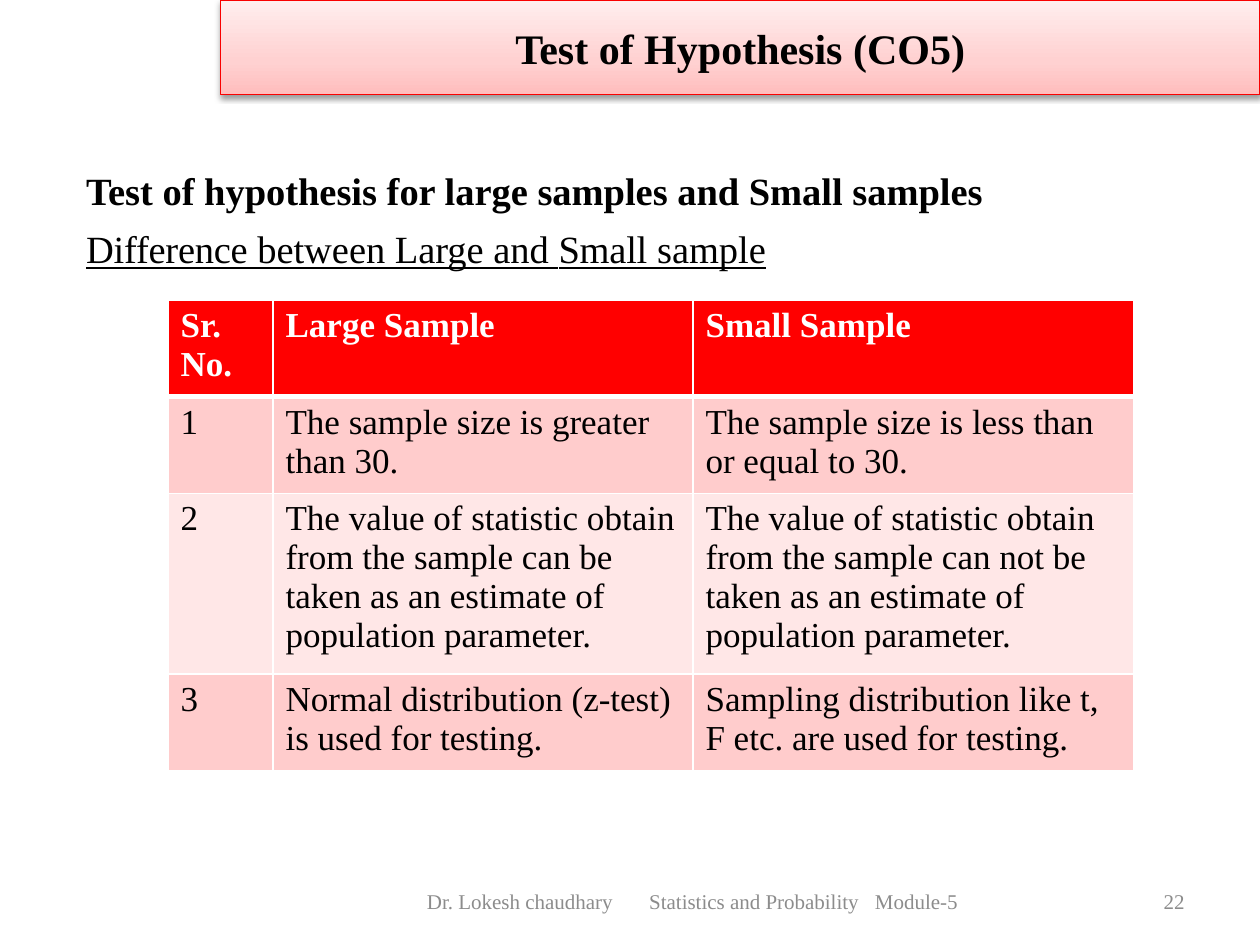
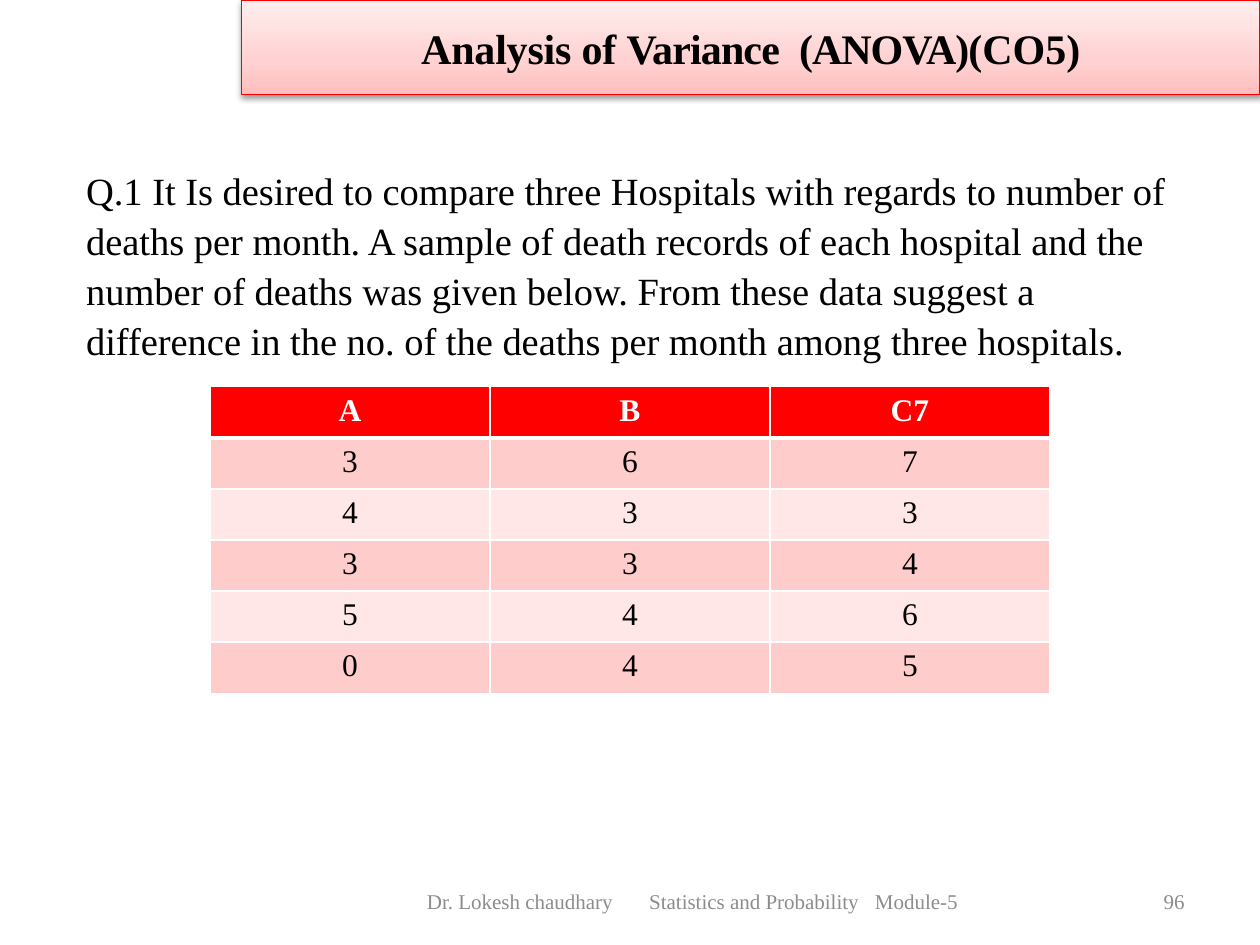
from lxml import etree
from pptx import Presentation
from pptx.dml.color import RGBColor
from pptx.enum.text import MSO_ANCHOR, MSO_AUTO_SIZE, PP_ALIGN
from pptx.oxml import parse_xml
from pptx.oxml.ns import nsdecls, qn
from pptx.util import Pt

LEFT, CENTER, RIGHT = PP_ALIGN.LEFT, PP_ALIGN.CENTER, PP_ALIGN.RIGHT
MIDDLE = MSO_ANCHOR.MIDDLE
NO_FIT = MSO_AUTO_SIZE.NONE

# Shared style
FONT = "Times New Roman"
BLACK, WHITE, GREY = "000000", "FFFFFF", "8C8C8C"
RED, BAND_LINE = "FF0000", "F90000"
ROW_FILLS = ["FFE7E7", "FFCCCC"]
BAND_STOPS = [(0, "FFBDBD"), (35, "FFD1D1"), (100, "FFEEEE")]
FOOTER = "Dr. Lokesh chaudhary\tStatistics and Probability\tModule-5"
FOOTER_TABS = [127, 256]


def rgb(color):
    return RGBColor.from_string(color)


def add_run(p, text, size, color=BLACK, bold=False, underline=False, spacing=0):
    r = p.add_run()
    r.text = text
    r.font.name = FONT
    r.font.size = Pt(size)
    r.font.color.rgb = rgb(color)
    r.font.bold = bold
    r.font.underline = underline
    if spacing:
        r.font._element.set("spc", str(round(spacing * 100)))


# Slide content: each run is (text, letter spacing)
slides = [
    {
        "number": "22",
        "band_left": 126,
        "title": [("Test of Hypothesis (CO5)", 0)],
        "body": [
            ([("Test of hypothesis for large samples and Small samples", 0)],
             {"bold": True}),
            ([("Difference ", -0.1), ("between Large and ", 0),
              ("Small", -0.1), (" ", -0.9), ("sample", 0)],
             {"underline": True}),
        ],
        "table_at": (96, 171.4),
        "columns": [60, 240, 252],
        "row_heights": [54.8, 54.8, 96, 54.8],
        "table_size": 20,
        "table_align": LEFT,
        "rows": [
            ["Sr. No.", "Large Sample", "Small Sample"],
            ["1", "The sample size is greater than 30.",
             "The sample size is less than or equal to 30."],
            ["2", "The value of statistic obtain from the sample can be "
                  "taken as an estimate of population parameter.",
             "The value of statistic obtain from the sample can not be "
             "taken as an estimate of population parameter."],
            ["3", "Normal distribution (z-test) is used for testing.",
             "Sampling distribution like t, F etc. are used for testing."],
        ],
    },
    {
        "number": "96",
        "band_left": 138,
        "title": [("Analysis of ", -0.1), ("Variance", -0.5), (" ", 5),
                  ("(ANOVA)(", -0.6), ("CO5)", 0)],
        "body": [
            ([("Q.1 It Is desired to compare three Hospitals with regards to "
               "number of deaths per month. A sample of death records of each "
               "hospital and the number of deaths was given below. From these "
               "data suggest a difference in the no. of the deaths per month "
               "among three hospitals.", 0)], {}),
        ],
        "table_at": (120, 221),
        "columns": [160] * 3,
        "row_heights": [29.2] * 6,
        "table_size": 18,
        "table_align": CENTER,
        "rows": ["A B C7".split(), "3 6 7".split(), "4 3 3".split(),
                 "3 3 4".split(), "5 4 6".split(), "0 4 5".split()],
    },
]

prs = Presentation()
prs.slide_width, prs.slide_height = Pt(720), Pt(540)

for data in slides:
    s = prs.slides.add_slide(prs.slide_layouts[1])
    band, body = s.placeholders

    # Title band with gradient and soft shadow
    band.left, band.top = Pt(data["band_left"]), Pt(0)
    band.width, band.height = Pt(720 - data["band_left"]), Pt(54)
    band.fill.gradient()
    band.fill.gradient_angle = 90
    stops = band._element.spPr.find(".//" + qn("a:gsLst"))
    for stop in list(stops):
        stops.remove(stop)
    for position, color in BAND_STOPS:
        stop = etree.SubElement(stops, qn("a:gs"), pos=str(position * 1000))
        etree.SubElement(stop, qn("a:srgbClr"), val=color)
    band.line.color.rgb = rgb(BAND_LINE)
    band.line.width = Pt(0.75)
    band.shadow.inherit = False
    band._element.spPr.find(qn("a:effectLst")).append(parse_xml(
        f'<a:outerShdw {nsdecls("a")} blurRad="{Pt(3.1)}" dist="{Pt(1.6)}" '
        'dir="5400000" rotWithShape="0"><a:srgbClr val="000000">'
        '<a:alpha val="38000"/></a:srgbClr></a:outerShdw>'))
    tf = band.text_frame
    tf.auto_size, tf.vertical_anchor = NO_FIT, MIDDLE
    p = tf.paragraphs[0]
    p.alignment = CENTER
    for text, spacing in data["title"]:
        add_run(p, text, 24, bold=True, spacing=spacing)

    # Body text without bullets
    body.left, body.top = Pt(42), Pt(90)
    body.width, body.height = Pt(648), Pt(446.4 - 90)
    tf = body.text_frame
    tf.auto_size = NO_FIT
    for i, (runs, style) in enumerate(data["body"]):
        p = tf.add_paragraph() if i else tf.paragraphs[0]
        pPr = p._p.get_or_add_pPr()
        pPr.set("marL", "0")
        pPr.set("indent", "0")
        etree.SubElement(pPr, qn("a:buNone"))
        p.space_before = Pt(4.4 if i else 0)
        p.line_spacing = 1.08
        for text, spacing in runs:
            add_run(p, text, 22, spacing=spacing, **style)

    # Footer and slide number
    for left, width, inset, text, align in [
            (198, 396, 46, FOOTER, LEFT),
            (516, 168, 7.2, data["number"], RIGHT)]:
        sp = s.shapes.add_textbox(Pt(left), Pt(500.5), Pt(width), Pt(28.8))
        tf = sp.text_frame
        tf.word_wrap, tf.vertical_anchor = True, MIDDLE
        tf.margin_left = Pt(inset)
        p = tf.paragraphs[0]
        p.alignment = align
        if "\t" in text:
            tabs = etree.SubElement(p._p.get_or_add_pPr(), qn("a:tabLst"))
            for position in FOOTER_TABS:
                etree.SubElement(tabs, qn("a:tab"), pos=str(Pt(position)), algn="l")
        add_run(p, text, 12, GREY)

    # Table with a red header and alternating rows
    rows, widths, heights = data["rows"], data["columns"], data["row_heights"]
    left, top = data["table_at"]
    table = s.shapes.add_table(len(rows), len(widths), Pt(left), Pt(top),
                               Pt(sum(widths)), Pt(sum(heights))).table
    for column, width in zip(table.columns, widths):
        column.width = Pt(width)
    for i, row in enumerate(rows):
        table.rows[i].height = Pt(heights[i])
        header = i == 0
        for j, text in enumerate(row):
            cell = table.cell(i, j)
            cell.fill.solid()
            cell.fill.fore_color.rgb = rgb(RED if header else ROW_FILLS[i % 2])
            p = cell.text_frame.paragraphs[0]
            p.alignment = data["table_align"]
            add_run(p, text, data["table_size"], WHITE if header else BLACK,
                    bold=header)
            borders = {"L": 1, "R": 1, "T": 3 if i == 1 else 1,
                       "B": 3 if header else 1}
            for k, (side, weight) in enumerate(borders.items()):
                cell._tc.get_or_add_tcPr().insert(k, parse_xml(
                    f'<a:ln{side} {nsdecls("a")} w="{Pt(weight)}"><a:solidFill>'
                    f'<a:srgbClr val="{WHITE}"/></a:solidFill></a:ln{side}>'))

prs.save("out.pptx")
